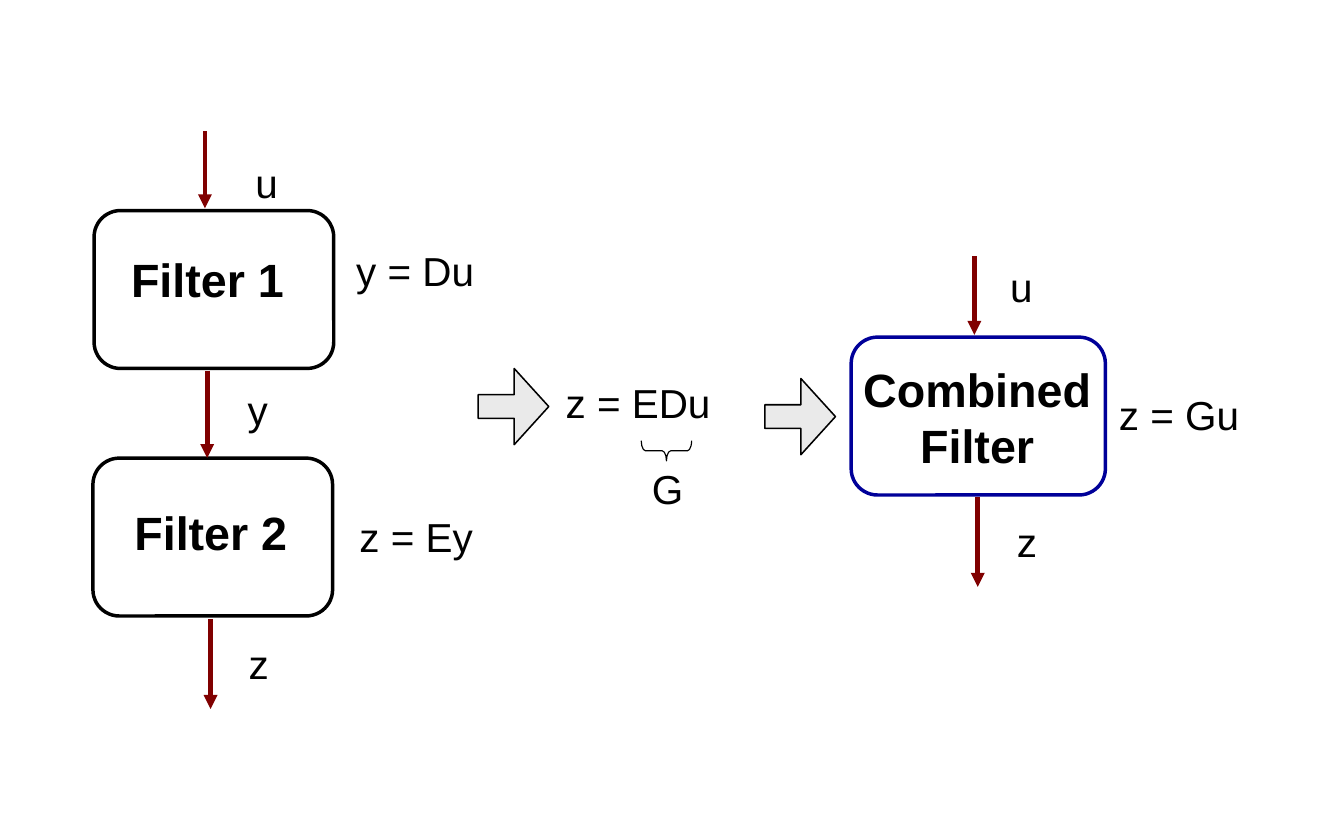
from dataclasses import dataclass

from lxml.etree import SubElement
from pptx import Presentation
from pptx.dml.color import RGBColor
from pptx.enum.shapes import MSO_CONNECTOR, MSO_SHAPE
from pptx.enum.text import MSO_AUTO_SIZE, PP_ALIGN
from pptx.oxml.ns import qn
from pptx.util import Inches, Pt


@dataclass(frozen=True)
class Theme:
    font: str = "Arial"
    ink: str = "000000"
    flow: str = "800000"
    combined: str = "000099"
    implies: str = "EAEAEA"
    label_size: int = 26
    title_size: int = 30
    box_line: float = 2.25
    flow_line: float = 3
    implies_line: float = 1
    brace_line: float = 0.75


@dataclass(frozen=True)
class Outline:
    kind: MSO_SHAPE
    left: float
    top: float
    width: float
    height: float
    color: str
    weight: float
    adjustments: tuple[float, ...]
    fill: str | None = None
    rotation: float = 0


@dataclass(frozen=True)
class Label:
    text: str
    left: float
    top: float
    width: float
    height: float = 0.54
    title: bool = False


@dataclass(frozen=True)
class Flow:
    x: float
    top: float
    bottom: float


THEME = Theme()


def filter_box(left: float, top: float, width: float, color: str) -> Outline:
    return Outline(MSO_SHAPE.ROUNDED_RECTANGLE, left, top, width, 1.41,
                   color, THEME.box_line, (0.167,))


def implies_arrow(left: float, top: float) -> Outline:
    return Outline(MSO_SHAPE.RIGHT_ARROW, left, top, 0.63, 0.68, THEME.ink,
                   THEME.implies_line, (0.311, 0.49), THEME.implies)


OUTLINES = [
    Outline(MSO_SHAPE.RIGHT_BRACE, 5.86, 3.8, 0.18, 0.45, THEME.ink,
            THEME.brace_line, (0.21, 0.5), rotation=90),
    implies_arrow(4.27, 3.29),
    filter_box(0.83, 4.09, 2.14, THEME.ink),
    filter_box(0.84, 1.88, 2.14, THEME.ink),
    filter_box(7.6, 3.01, 2.27, THEME.combined),
    implies_arrow(6.83, 3.38),
]

FLOWS = [
    Flow(1.83, 1.17, 1.86),
    Flow(1.85, 3.31, 4.09),
    Flow(1.88, 5.53, 6.33),
    Flow(8.7, 2.29, 2.99),
    Flow(8.73, 4.44, 5.24),
]

LABELS = [
    # Two filters in sequence
    Label("u", 2.17, 1.36, 0.42),
    Label("Filter 1", 1.06, 2.19, 1.58, 0.61, title=True),
    Label("y = Du", 3.07, 2.15, 1.27),
    Label("y", 2.1, 3.39, 0.39),
    Label("Filter 2", 1.09, 4.45, 1.58, 0.61, title=True),
    Label("z = Ey", 3.1, 4.52, 1.23),
    Label("z", 2.11, 5.66, 0.39),
    # Substitution
    Label("z = EDu", 4.94, 3.33, 1.51),
    Label("G", 5.71, 4.09, 0.5),
    # Combined filter
    Label("u", 8.91, 2.29, 0.42),
    Label("Combined\nFilter", 7.6, 3.17, 2.25, 1.11, title=True),
    Label("z = Gu", 9.88, 3.43, 1.29),
    Label("z", 8.97, 4.57, 0.39),
]


def add_outline(s, item: Outline) -> None:
    sp = s.shapes.add_shape(item.kind, Inches(item.left), Inches(item.top),
                            Inches(item.width), Inches(item.height))
    sp.shadow.inherit = False
    sp.rotation = item.rotation
    for i, value in enumerate(item.adjustments):
        sp.adjustments[i] = value
    if item.fill:
        sp.fill.solid()
        sp.fill.fore_color.rgb = RGBColor.from_string(item.fill)
    else:
        sp.fill.background()
    sp.line.color.rgb = RGBColor.from_string(item.color)
    sp.line.width = Pt(item.weight)


def add_flow(s, item: Flow) -> None:
    x = Inches(item.x)
    cxn = s.shapes.add_connector(MSO_CONNECTOR.STRAIGHT, x, Inches(item.top),
                                 x, Inches(item.bottom))
    cxn.line.color.rgb = RGBColor.from_string(THEME.flow)
    cxn.line.width = Pt(THEME.flow_line)
    SubElement(cxn.line._get_or_add_ln(), qn("a:tailEnd"), type="triangle")
    SubElement(cxn._element.spPr, qn("a:effectLst"))


def add_label(s, item: Label) -> None:
    sp = s.shapes.add_textbox(Inches(item.left), Inches(item.top),
                              Inches(item.width), Inches(item.height))
    tf = sp.text_frame
    lines = item.text.splitlines()
    centered = len(lines) > 1
    # A slim right margin leaves each line room to stay whole
    frame_format = {
        "margin_left": Inches(0.05 if centered else 0.11),
        "margin_right": Inches(0.05),
        "margin_top": Inches(0.05), "margin_bottom": Inches(0.05),
        "word_wrap": False, "auto_size": MSO_AUTO_SIZE.SHAPE_TO_FIT_TEXT,
    }
    for name, value in frame_format.items():
        setattr(tf, name, value)

    p = tf.paragraphs[0]
    p.alignment = PP_ALIGN.CENTER if centered else PP_ALIGN.LEFT
    font_format = {
        "name": THEME.font,
        "size": Pt(THEME.title_size if item.title else THEME.label_size),
        "bold": item.title,
    }
    for i, line in enumerate(lines):
        if i:
            p.add_line_break()
        r = p.add_run()
        r.text = line
        for name, value in font_format.items():
            setattr(r.font, name, value)
        r.font.color.rgb = RGBColor.from_string(THEME.ink)


def main() -> None:
    prs = Presentation()
    prs.slide_width, prs.slide_height = Inches(12), Inches(7.5)
    s = prs.slides.add_slide(prs.slide_layouts[6])

    # Boxes, block arrows and brace below; signal flow and wording on top
    for outline in OUTLINES:
        add_outline(s, outline)
    for flow in FLOWS:
        add_flow(s, flow)
    for label in LABELS:
        add_label(s, label)

    prs.save("out.pptx")


if __name__ == "__main__":
    main()
